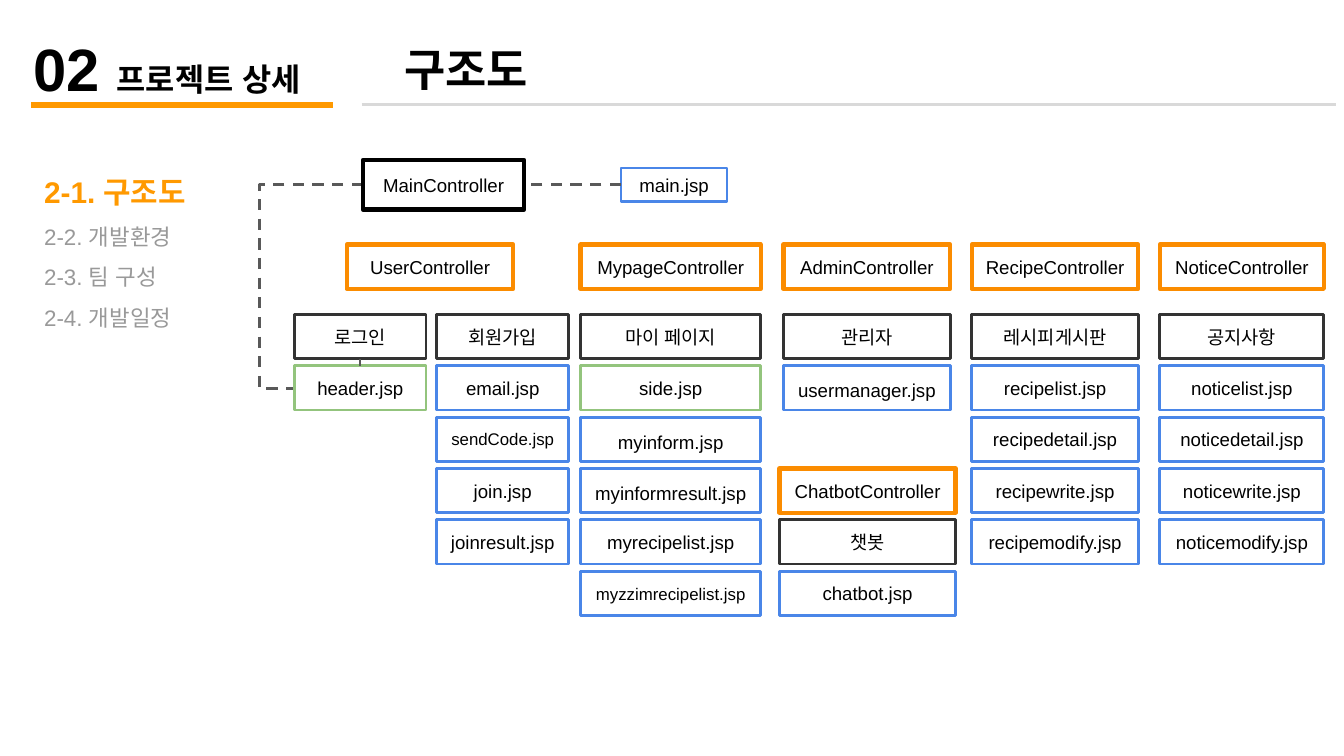
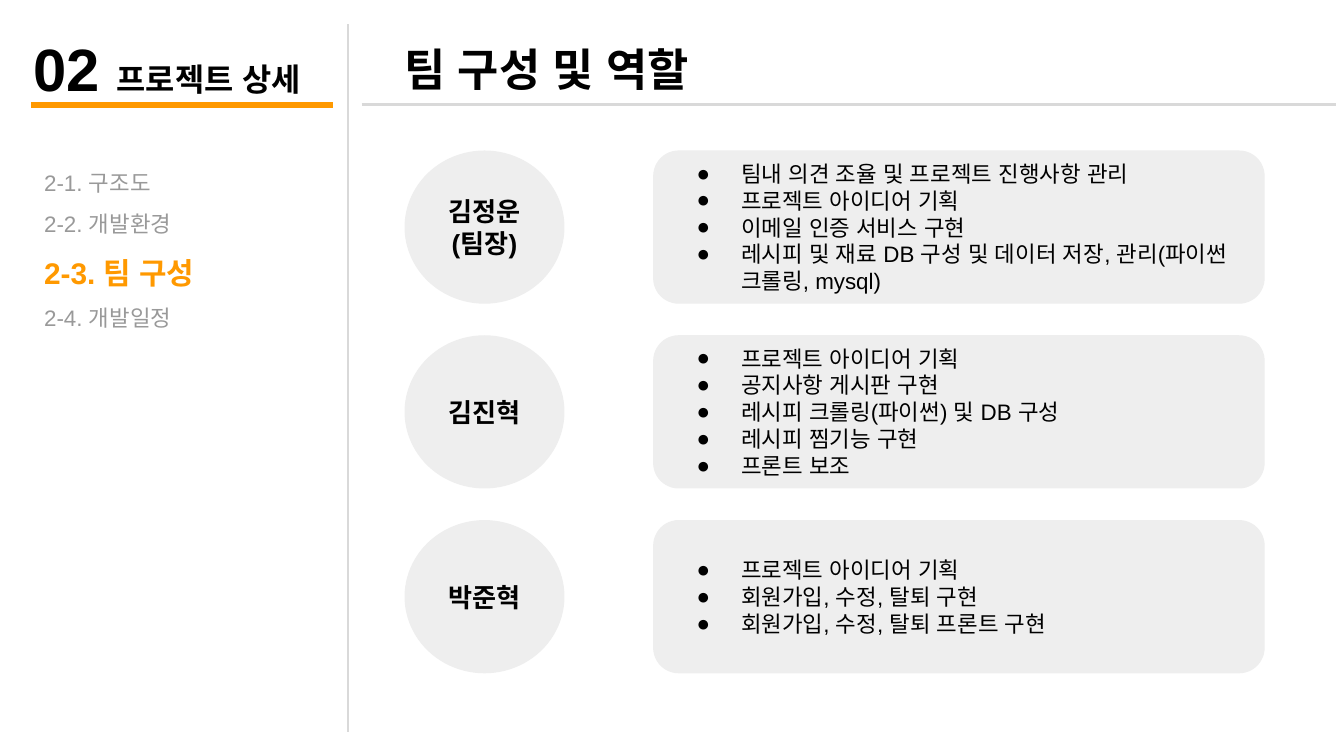
from dataclasses import dataclass
from typing import Any

import lxml.etree as etree
import pptx
import pptx.dml.color
import pptx.enum.dml
import pptx.enum.shapes
import pptx.enum.text
import pptx.oxml.ns
import pptx.slide
import pptx.util

RGB = pptx.dml.color.RGBColor
Pt = pptx.util.Pt
Kind = pptx.enum.shapes.MSO_SHAPE
Link = pptx.enum.shapes.MSO_CONNECTOR
Anchor = pptx.enum.text.MSO_ANCHOR
Align = pptx.enum.text.PP_ALIGN
Fit = pptx.enum.text.MSO_AUTO_SIZE
qn = pptx.oxml.ns.qn

BLACK = RGB(0x00, 0x00, 0x00)
WHITE = RGB(0xFF, 0xFF, 0xFF)
DARK = RGB(0x33, 0x33, 0x33)
DASH = RGB(0x59, 0x59, 0x59)
MUTED = RGB(0x99, 0x99, 0x99)
RULE = RGB(0xD9, 0xD9, 0xD9)
PANEL = RGB(0xEE, 0xEE, 0xEE)
ACCENT = RGB(0xFF, 0x99, 0x00)
ORANGE = RGB(0xFB, 0x8C, 0x00)
BLUE = RGB(0x4A, 0x86, 0xE8)
GREEN = RGB(0x93, 0xC4, 0x7D)

FONT = "Arial"
WIDTH, HEIGHT = pptx.util.Inches(10), pptx.util.Inches(5.625)
UNIT = WIDTH / 100  # the grid is square: 100 columns by 56.25 rows
INSET = 1
MENU = ["2-1. 구조도", "2-2. 개발환경", "2-3. 팀 구성", "2-4. 개발일정"]

# Slide 1: rows of the file tree
HEAD_TOP, TREE_TOP, STEP, TALL = 18.2, 23.4, 3.82, 3.3
SHARED = {"header.jsp", "side.jsp"}
SMALL = {"sendCode.jsp", "myzzimrecipelist.jsp"}
LOW = {"usermanager.jsp", "myinform.jsp", "myinformresult.jsp"}

# Slide 2: rows of members
TEAM_TOP, TEAM_STEP, TEAM_TALL = 11.2, 13.75, 11.4


@dataclass(frozen=True)
class Area:
    left: float
    top: float
    wide: float
    tall: float

    def scale(self) -> list[int]:
        return [grid(v) for v in (self.left, self.top, self.wide, self.tall)]


@dataclass(frozen=True)
class Run:
    text: str
    size: float
    color: RGB = BLACK
    bold: bool = False


@dataclass(frozen=True)
class Branch:
    """A column of boxes; the first one stands on the given tree row."""
    left: float
    wide: float
    names: tuple[str, ...]
    row: int = 0
    head: str = ""


@dataclass(frozen=True)
class Member:
    name: tuple[str, ...]
    tasks: tuple[str, ...]


BRANCHES = [
    Branch(21.9, 9.8, ("로그인", "header.jsp")),
    Branch(32.5, 9.8, ("회원가입", "email.jsp", "sendCode.jsp", "join.jsp", "joinresult.jsp")),
    Branch(43.2, 13.4, ("마이 페이지", "side.jsp", "myinform.jsp", "myinformresult.jsp",
                        "myrecipelist.jsp", "myzzimrecipelist.jsp"), head="MypageController"),
    Branch(58.3, 12.4, ("관리자", "usermanager.jsp"), head="AdminController"),
    Branch(58, 13.1, ("ChatbotController", "챗봇", "chatbot.jsp"), row=3),
    Branch(72.3, 12.4, ("레시피게시판", "recipelist.jsp", "recipedetail.jsp", "recipewrite.jsp",
                        "recipemodify.jsp"), head="RecipeController"),
    Branch(86.3, 12.2, ("공지사항", "noticelist.jsp", "noticedetail.jsp", "noticewrite.jsp",
                        "noticemodify.jsp"), head="NoticeController"),
]

TEAM = [
    Member(("김정운", "(팀장)"), (
        "팀내 의견 조율 및 프로젝트 진행사항 관리", "프로젝트 아이디어 기획",
        "이메일 인증 서비스 구현",
        "레시피 및 재료 DB 구성 및 데이터 저장, 관리(파이썬 크롤링, mysql)")),
    Member(("김진혁",), (
        "프로젝트 아이디어 기획", "공지사항 게시판 구현",
        "레시피 크롤링(파이썬) 및 DB 구성", "레시피 찜기능 구현", "프론트 보조")),
    Member(("박준혁",), (
        "프로젝트 아이디어 기획", "회원가입, 수정, 탈퇴 구현",
        "회원가입, 수정, 탈퇴 프론트 구현")),
]


def grid(count: float) -> int:
    return round(count * UNIT)


def apply(target: Any, values: dict[str, Any]) -> None:
    for name, value in values.items():
        setattr(target, name, value)


def bullet(para: Any) -> None:
    props = para._p.get_or_add_pPr()
    props.set("marL", str(grid(5)))
    props.set("indent", str(grid(-3.3)))
    tint = etree.SubElement(props, qn("a:buClr"))
    etree.SubElement(tint, qn("a:srgbClr")).set("val", str(BLACK))
    etree.SubElement(props, qn("a:buFont")).set("typeface", FONT)
    etree.SubElement(props, qn("a:buChar")).set("char", "●")


def write(shape: Any, lines: list[list[Run]], anchor: Any = Anchor.MIDDLE,
          align: Any = Align.CENTER, space: float | None = None, dots: bool = False) -> None:
    """Fill a shape with paragraphs, each a list of runs."""
    frame = shape.text_frame
    sides = ("left", "top", "right", "bottom")
    apply(frame, {f"margin_{side}": grid(INSET) for side in sides})
    apply(frame, {"word_wrap": True, "vertical_anchor": anchor})
    for index, runs in enumerate(lines):
        para = frame.add_paragraph() if index else frame.paragraphs[0]
        apply(para, {"alignment": align, "line_spacing": space})
        if dots:
            bullet(para)
        for item in runs:
            run = para.add_run()
            run.text = item.text
            apply(run.font, {"name": FONT, "size": Pt(item.size), "bold": item.bold})
            run.font.color.rgb = item.color
            etree.SubElement(run._r.get_or_add_rPr(), qn("a:ea")).set("typeface", FONT)


def label(slide: pptx.slide.Slide, area: Area, lines: list[list[Run]],
          space: float | None = None) -> None:
    box = slide.shapes.add_textbox(*area.scale())
    write(box, lines, Anchor.TOP, Align.LEFT, space)
    box.text_frame.auto_size = Fit.SHAPE_TO_FIT_TEXT


def draw(slide: pptx.slide.Slide, kind: Any, area: Area, fill: RGB | None,
         edge: RGB | None = None, weight: float = 1.5) -> Any:
    shape = slide.shapes.add_shape(kind, *area.scale())
    shape.shadow.inherit = False
    if fill is None:
        shape.fill.background()
    else:
        shape.fill.solid()
        shape.fill.fore_color.rgb = fill
    if edge is None:
        shape.line.fill.background()
    else:
        shape.line.color.rgb = edge
        shape.line.width = Pt(weight)
    return shape


def join(slide: pptx.slide.Slide, ends: tuple[float, float, float, float], color: RGB,
         weight: float = 1.5, dash: bool = False, kind: Any = Link.STRAIGHT) -> Any:
    line = slide.shapes.add_connector(kind, *map(grid, ends))
    line.line.color.rgb = color
    line.line.width = Pt(weight)
    if dash:
        line.line.dash_style = pptx.enum.dml.MSO_LINE.DASH
    etree.SubElement(line._element.spPr, qn("a:effectLst"))
    return line


def attach(line: Any, start: Any, exit: int, stop: Any, entry: int) -> None:
    line.begin_connect(start, exit)
    line.end_connect(stop, entry)


def frame(deck: Any, title: str, active: int) -> pptx.slide.Slide:
    """Add a slide with the section mark, the menu and the title."""
    slide = deck.slides.add_slide(deck.slide_layouts[6])
    label(slide, Area(1.5, 1.4, 27.6, 7.4),
          [[Run("02 ", 32, bold=True), Run("프로젝트 상세", 17, bold=True)]])
    join(slide, (2.3, 7.8, 24.8, 7.8), ACCENT, 3)
    menu = [[Run(text, 16, ACCENT, True) if index == active else Run(text, 12, MUTED)]
            for index, text in enumerate(MENU)]
    label(slide, Area(2.3, 10.6, 17.4, 14.1), menu, 1.5)
    join(slide, (26.9, 7.8, 99.4, 7.8), RULE)
    label(slide, Area(29.1, 2.1, 33.5, 6.1), [[Run(title, 24, bold=True)]])
    return slide


def node(slide: pptx.slide.Slide, name: str, area: Area) -> Any:
    """Draw a tree box; its name decides its look."""
    if name == "MainController":
        look = (WHITE, BLACK, 2.25)
    elif name.endswith("Controller"):
        look = (None, ORANGE, 2.25)
    elif name.endswith(".jsp"):
        look = (None, GREEN if name in SHARED else BLUE, 1.5)
    else:
        look = (WHITE, DARK, 1.5)
    shape = draw(slide, Kind.RECTANGLE, area, *look)
    write(shape, [[Run(name, 9 if name in SMALL else 10)]],
          Anchor.TOP if name in LOW else Anchor.MIDDLE)
    return shape


def tree(deck: Any) -> None:
    slide = frame(deck, "구조도", 0)
    elbow = join(slide, (27, 13.75, 21.9, 28.9), DASH, dash=True, kind=Link.ELBOW)
    bend = elbow._element.spPr.find(qn("a:prstGeom")).get_or_add_avLst()
    apply_bend = etree.SubElement(bend, qn("a:gd"))
    apply_bend.set("name", "adj1")
    apply_bend.set("fmla", "val 151000")

    main = node(slide, "MainController", Area(27, 11.9, 12, 3.7))
    home = node(slide, "main.jsp", Area(46.2, 12.5, 7.9, 2.5))
    node(slide, "UserController", Area(25.8, HEAD_TOP, 12.4, TALL))
    nodes = {}
    for branch in BRANCHES:
        if branch.head:
            node(slide, branch.head, Area(branch.left, HEAD_TOP, branch.wide, TALL))
        for row, name in enumerate(branch.names, branch.row):
            area = Area(branch.left, TREE_TOP + row * STEP, branch.wide, TALL)
            nodes[name] = node(slide, name, area)

    attach(join(slide, (46.2, 13.75, 39, 13.75), DASH, dash=True), home, 1, main, 3)
    attach(join(slide, (26.8, 26.7, 26.8, 27.2), DASH, 0.75),
           nodes["로그인"], 2, nodes["header.jsp"], 0)


def team(deck: Any) -> None:
    slide = frame(deck, "팀 구성 및 역할", 2)
    join(slide, (25.9, 1.8, 25.9, 54.5), RULE)
    for index, member in enumerate(TEAM):
        top = TEAM_TOP + index * TEAM_STEP
        disc = draw(slide, Kind.OVAL, Area(30.1, top, 11.9, TEAM_TALL), PANEL)
        write(disc, [[Run(text, 14, bold=True)] for text in member.name])
        card = draw(slide, Kind.ROUNDED_RECTANGLE, Area(48.6, top, 45.5, TEAM_TALL), PANEL)
        write(card, [[Run(text, 12)] for text in member.tasks], align=Align.LEFT, dots=True)


def main() -> None:
    deck = pptx.Presentation()
    apply(deck, {"slide_width": WIDTH, "slide_height": HEIGHT})
    tree(deck)
    team(deck)
    deck.save("out.pptx")


if __name__ == "__main__":
    main()
